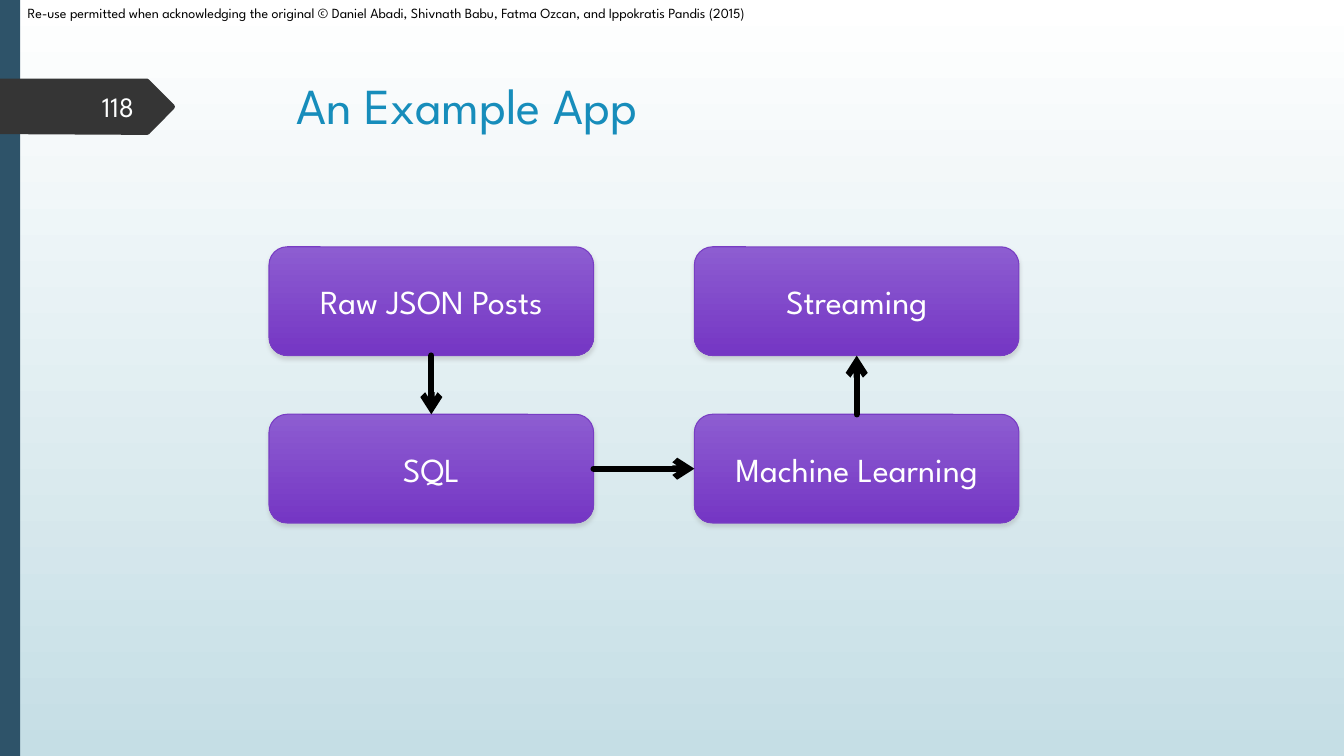
from dataclasses import dataclass

from lxml.etree import SubElement
from pptx import Presentation
from pptx.dml.color import RGBColor
from pptx.dml.fill import FillFormat
from pptx.enum.shapes import MSO_CONNECTOR, MSO_SHAPE
from pptx.enum.text import MSO_ANCHOR, PP_ALIGN
from pptx.oxml import parse_xml
from pptx.oxml.ns import nsdecls, qn
from pptx.shapes.autoshape import Shape
from pptx.slide import Slide
from pptx.util import Cm, Pt


@dataclass(frozen=True)
class Theme:
    font: str = "League Spartan"
    background: tuple[str, str] = ("FFFFFF", "C5DEE5")
    stage: tuple[str, str] = ("8D5DD1", "7536C4")
    stage_line: str = "783DC3"
    shadow: str = "808080"
    side_bar: str = "2E5369"
    number_tag: str = "353535"
    number: str = "FEFFFF"
    title: str = "178DBB"
    dark: str = "000000"
    light: str = "FFFFFF"
    title_size: int = 36
    stage_size: int = 24
    number_size: int = 20
    notice_size: int = 10


@dataclass(frozen=True)
class Stage:
    text: str
    column: int
    row: int


@dataclass(frozen=True)
class Arrow:
    source: str
    source_side: int
    target: str
    target_side: int


THEME = Theme()
TOP, LEFT, BOTTOM, RIGHT = range(4)
STAGE_LEFT, STAGE_TOP = 6.78, 6.22
STAGE_WIDTH, STAGE_HEIGHT = 8.18, 2.74
COLUMN_STEP, ROW_STEP = 10.72, 4.22

STAGES = (
    Stage("Raw JSON Posts", 0, 0),
    Stage("SQL", 0, 1),
    Stage("Machine Learning", 1, 1),
    Stage("Streaming", 1, 0),
)
ARROWS = (
    Arrow("Raw JSON Posts", BOTTOM, "SQL", TOP),
    Arrow("SQL", RIGHT, "Machine Learning", LEFT),
    Arrow("Machine Learning", TOP, "Streaming", BOTTOM),
)
TAG_POINTS = (
    (0, 1.98), (3.71, 1.98), (3.76, 2.01), (4.39, 2.64), (4.41, 2.69),
    (4.39, 2.74), (3.76, 3.38), (3.71, 3.4), (0, 3.38),
)


def write(box: Shape, text: str, *, size: int, color: str,
          align: PP_ALIGN = PP_ALIGN.LEFT,
          anchor: MSO_ANCHOR = MSO_ANCHOR.TOP) -> None:
    frame = box.text_frame
    frame.word_wrap = True
    frame.vertical_anchor = anchor
    para = frame.paragraphs[0]
    para.alignment = align
    span = para.add_run()
    span.text = text
    span.font.name = THEME.font
    span.font.size = Pt(size)
    span.font.color.rgb = RGBColor.from_string(color)


def fill_gradient(fill: FillFormat, colors: tuple[str, str]) -> None:
    fill.gradient()
    fill.gradient_angle = 270
    for stop, color in zip(fill.gradient_stops, colors):
        stop.color.rgb = RGBColor.from_string(color)


def fill_plain(shape: Shape, color: str) -> None:
    shape.shadow.inherit = False
    shape.fill.solid()
    shape.fill.fore_color.rgb = RGBColor.from_string(color)
    shape.line.fill.background()


def add_text_box(page: Slide, left: float, top: float,
                 width: float, height: float) -> Shape:
    return page.shapes.add_textbox(Cm(left), Cm(top), Cm(width), Cm(height))


def add_number_tag(page: Slide) -> None:
    points = [(Cm(x), Cm(y)) for x, y in TAG_POINTS]
    builder = page.shapes.build_freeform(*points[0])
    builder.add_line_segments(points[1:], close=True)
    fill_plain(builder.convert_to_shape(), THEME.number_tag)


def add_stage(page: Slide, stage: Stage) -> Shape:
    box = page.shapes.add_shape(
        MSO_SHAPE.ROUNDED_RECTANGLE,
        Cm(STAGE_LEFT + stage.column * COLUMN_STEP),
        Cm(STAGE_TOP + stage.row * ROW_STEP),
        Cm(STAGE_WIDTH), Cm(STAGE_HEIGHT),
    )
    fill_gradient(box.fill, THEME.stage)
    box.line.color.rgb = RGBColor.from_string(THEME.stage_line)
    box.line.width = Pt(0.75)
    box._element.spPr.append(parse_xml(
        f'<a:effectLst {nsdecls("a")}>'
        f'<a:outerShdw blurRad="{Pt(3)}" dist="{Pt(2)}" dir="5400000" rotWithShape="0">'
        f'<a:srgbClr val="{THEME.shadow}"><a:alpha val="25000"/></a:srgbClr>'
        '</a:outerShdw></a:effectLst>'
    ))
    write(box, stage.text, size=THEME.stage_size, color=THEME.light,
          align=PP_ALIGN.CENTER, anchor=MSO_ANCHOR.MIDDLE)
    return box


def add_arrow(page: Slide, arrow: Arrow, boxes: dict[str, Shape]) -> None:
    connector = page.shapes.add_connector(MSO_CONNECTOR.STRAIGHT, 0, 0, 0, 0)
    connector.begin_connect(boxes[arrow.source], arrow.source_side)
    connector.end_connect(boxes[arrow.target], arrow.target_side)
    connector.line.color.rgb = RGBColor.from_string(THEME.dark)
    connector.line.width = Pt(4.5)
    properties = connector._element.spPr
    outline = properties.find(qn("a:ln"))
    outline.set("cap", "rnd")
    SubElement(outline, qn("a:tailEnd"), type="arrow")
    SubElement(properties, qn("a:effectLst"))


def main() -> None:
    deck = Presentation()
    deck.slide_width, deck.slide_height = Cm(33.87), Cm(19.05)
    page = deck.slides.add_slide(deck.slide_layouts.get_by_name("Title Only"))
    fill_gradient(page.background.fill, THEME.background)

    side_bar = page.shapes.add_shape(
        MSO_SHAPE.RECTANGLE, 0, 0, Cm(0.51), deck.slide_height)
    fill_plain(side_bar, THEME.side_bar)
    write(add_text_box(page, 0.45, 0, 25.4, 0.84),
          "Re-use permitted when acknowledging the original © Daniel Abadi, "
          "Shivnath Babu, Fatma Ozcan, and Ippokratis Pandis (2015)",
          size=THEME.notice_size, color=THEME.dark)
    add_number_tag(page)

    boxes = {stage.text: add_stage(page, stage) for stage in STAGES}
    for arrow in ARROWS:
        add_arrow(page, arrow, boxes)

    title = page.shapes.title
    title.left, title.top = Cm(7.21), Cm(1.73)
    title.width, title.height = Cm(24.77), Cm(3.56)
    write(title, "An Example App", size=THEME.title_size, color=THEME.title)
    write(add_text_box(page, 1.47, 2.18, 2.16, 1.02), "118",
          size=THEME.number_size, color=THEME.number,
          align=PP_ALIGN.RIGHT, anchor=MSO_ANCHOR.MIDDLE)

    deck.save("out.pptx")


if __name__ == "__main__":
    main()
